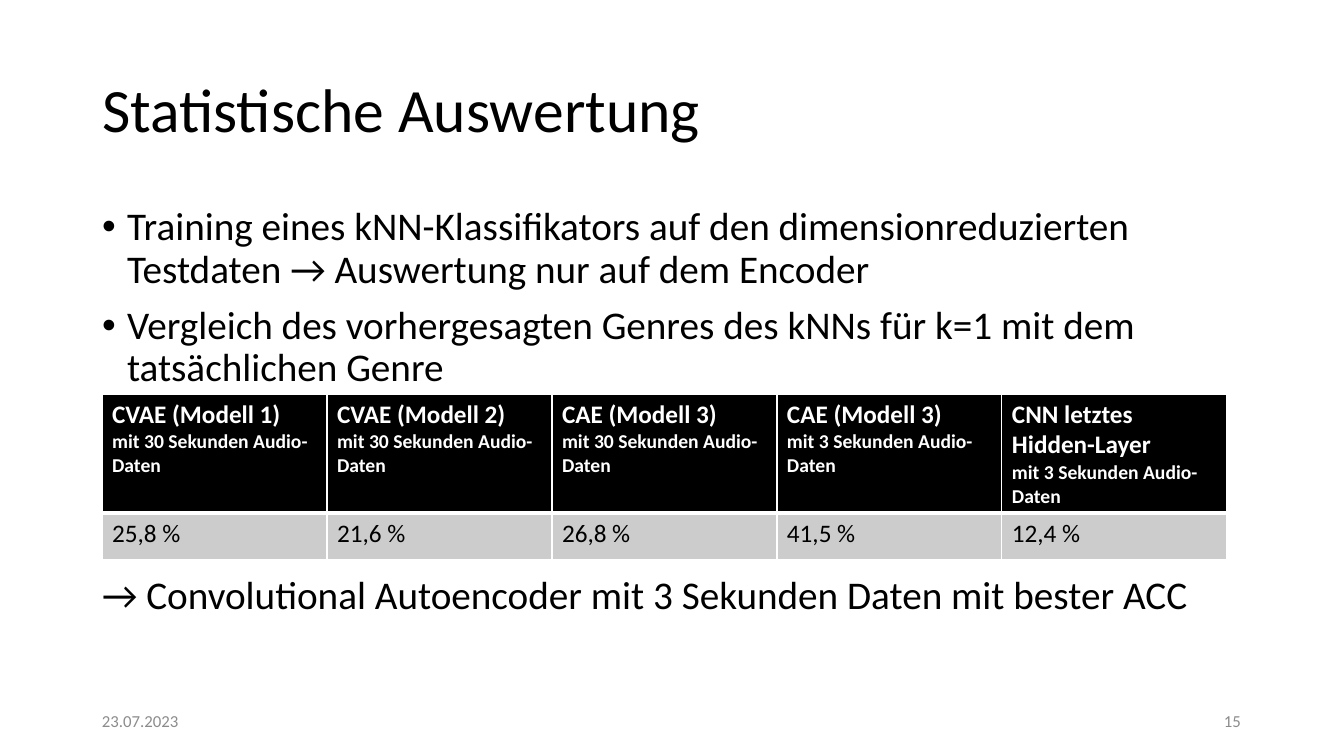
from lxml import etree
from pptx import Presentation
from pptx.dml.color import RGBColor
from pptx.enum.text import MSO_ANCHOR, MSO_AUTO_SIZE, PP_ALIGN
from pptx.oxml.ns import qn
from pptx.util import Emu, Pt

LEFT, RIGHT = PP_ALIGN.LEFT, PP_ALIGN.RIGHT
TOP, MIDDLE = MSO_ANCHOR.TOP, MSO_ANCHOR.MIDDLE
NO_AUTOFIT = MSO_AUTO_SIZE.NONE

BLACK = RGBColor(0x00, 0x00, 0x00)
WHITE = RGBColor(0xFF, 0xFF, 0xFF)
SILVER = RGBColor(0xCC, 0xCC, 0xCC)
GRAY = RGBColor(0x8C, 0x8C, 0x8C)

FONT = "Calibri"
SCALE = 914400 / 100.8
HANGING = 25
CONCLUSION_GAP = 132

BULLETS = [
    "Training eines kNN-Klassifikators auf den dimensionreduzierten Testdaten → Auswertung nur auf dem Encoder",
    "Vergleich des vorhergesagten Genres des kNNs für k=1 mit dem tatsächlichen Genre",
]
CONCLUSION = "→ Convolutional Autoencoder mit 3 Sekunden Daten mit bester ACC"
RESULTS = [
    ("CVAE (Modell 1)", 30, "25,8 %"),
    ("CVAE (Modell 2)", 30, "21,6 %"),
    ("CAE (Modell 3)", 30, "26,8 %"),
    ("CAE (Modell 3)", 3, "41,5 %"),
    ("CNN letztes Hidden-Layer", 3, "12,4 %"),
]


def px(length):
    return Emu(round(length * SCALE))


class SlideBuilder:
    def __init__(self, deck):
        self.page = deck.slides.add_slide(deck.slide_layouts[1])

    def format_para(self, para, size, color, bold=False, align=LEFT):
        para.alignment = align
        for span in para.runs:
            span.font.name = FONT
            span.font.size = Pt(size)
            span.font.bold = bold
            span.font.color.rgb = color

    def place(self, box, left, top, width, height, anchor):
        box.left, box.top = px(left), px(top)
        box.width, box.height = px(width), px(height)
        frame = box.text_frame
        frame.word_wrap = True
        frame.auto_size = NO_AUTOFIT
        frame.vertical_anchor = anchor
        return frame

    def title(self, text, *area):
        frame = self.place(self.page.shapes.title, *area, MIDDLE)
        frame.text = text
        para = frame.paragraphs[0]
        para.line_spacing = 0.9
        self.format_para(para, 44, BLACK)

    def set_bullet(self, para, bullet):
        properties = para._p.get_or_add_pPr()
        indent = HANGING if bullet else 0
        properties.set("marL", str(px(indent)))
        properties.set("indent", str(px(-indent)))
        if bullet:
            etree.SubElement(properties, qn("a:buFont"), typeface="Arial")
            etree.SubElement(properties, qn("a:buChar"), char="•")
        else:
            etree.SubElement(properties, qn("a:buNone"))

    def body(self, bullets, conclusion, *area):
        frame = self.place(self.page.placeholders[1], *area, TOP)
        frame.text = "\n".join([*bullets, conclusion])
        for index, para in enumerate(frame.paragraphs):
            is_bullet = index < len(bullets)
            para.line_spacing = 0.9
            para.space_before = Pt(0 if index == 0 else 10 if is_bullet else CONCLUSION_GAP)
            self.set_bullet(para, is_bullet)
            self.format_para(para, 28, BLACK)

    def label(self, text, align, *area):
        box = self.page.shapes.add_textbox(0, 0, 0, 0)
        frame = self.place(box, *area, MIDDLE)
        frame.text = text
        self.format_para(frame.paragraphs[0], 12, GRAY, align=align)

    def cell(self, cell, text, sizes, color, fill, bold, top, bottom):
        properties = cell._tc.get_or_add_tcPr()
        for side, points in (("L", 1), ("R", 1), ("T", top), ("B", bottom)):
            line = etree.SubElement(properties, qn(f"a:ln{side}"), w=str(Pt(points)))
            solid = etree.SubElement(line, qn("a:solidFill"))
            etree.SubElement(solid, qn("a:srgbClr"), val=str(WHITE))
        cell.fill.solid()
        cell.fill.fore_color.rgb = fill
        cell.text_frame.text = text
        for para, size in zip(cell.text_frame.paragraphs, sizes):
            self.format_para(para, size, color, bold)

    def results_table(self, results, left, top, column_width, row_heights):
        width = column_width * len(results)
        frame = self.page.shapes.add_table(
            len(row_heights), len(results), px(left), px(top), px(width), px(sum(row_heights)))
        table = frame.table
        for row, height in zip(table.rows, row_heights):
            row.height = px(height)
        for index, (model, seconds, accuracy) in enumerate(results):
            table.columns[index].width = px(column_width)
            heading = f"{model}\nmit {seconds} Sekunden Audio-Daten"
            self.cell(table.cell(0, index), heading, (18, 14), WHITE, BLACK, True, 1, 3)
            self.cell(table.cell(1, index), accuracy, (18,), BLACK, SILVER, False, 3, 1)


def main():
    deck = Presentation()
    deck.slide_width, deck.slide_height = px(1344), px(756)
    builder = SlideBuilder(deck)
    builder.title("Statistische Auswertung", 92, 40, 1159, 146)
    builder.body(BULLETS, CONCLUSION, 92, 202, 1159, 480)
    builder.results_table(RESULTS, 102, 394, 225, (117, 46))
    builder.label("23.07.2023", LEFT, 92, 701, 302, 40)
    builder.label("15", RIGHT, 949, 701, 302, 40)
    deck.save("out.pptx")


if __name__ == "__main__":
    main()
